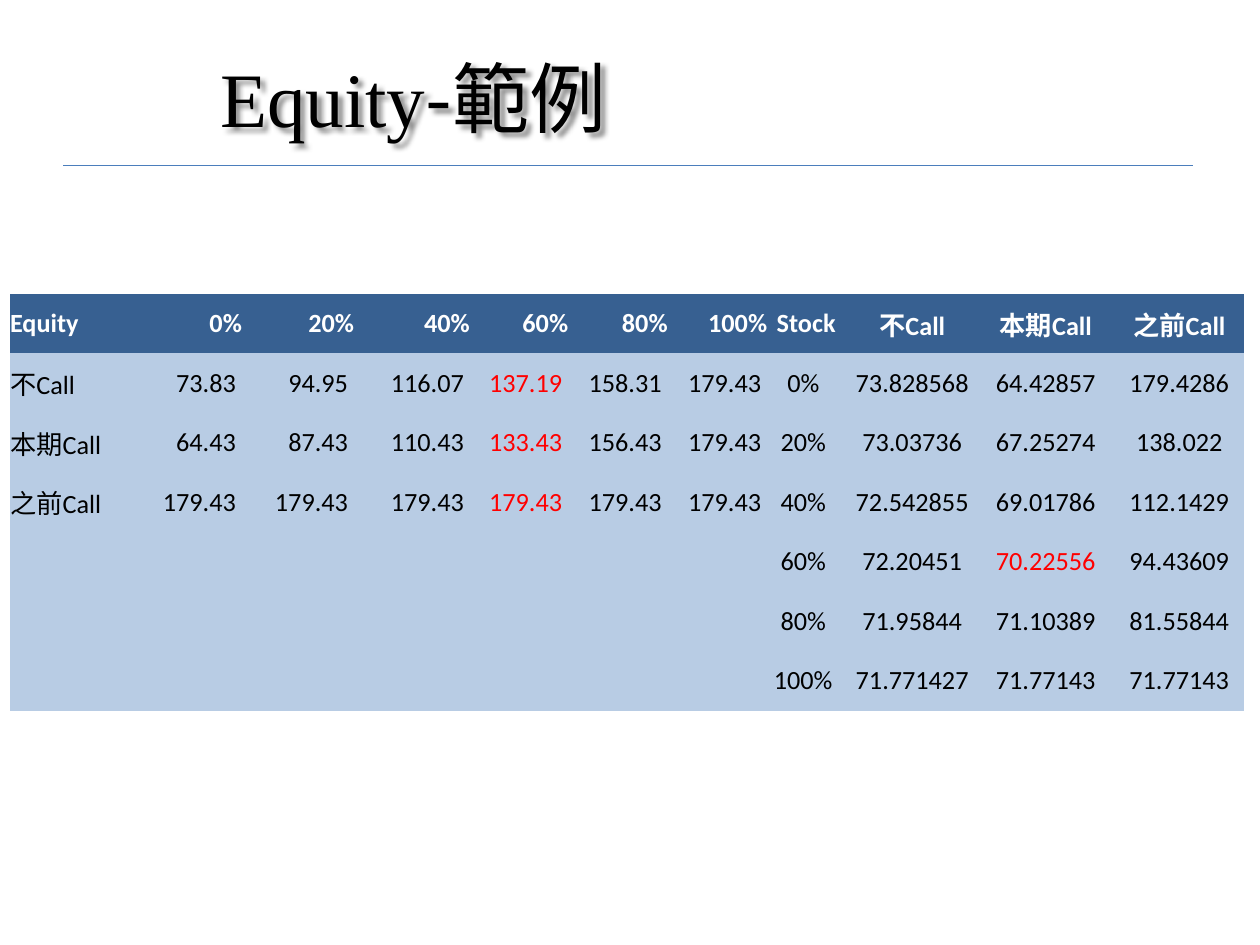
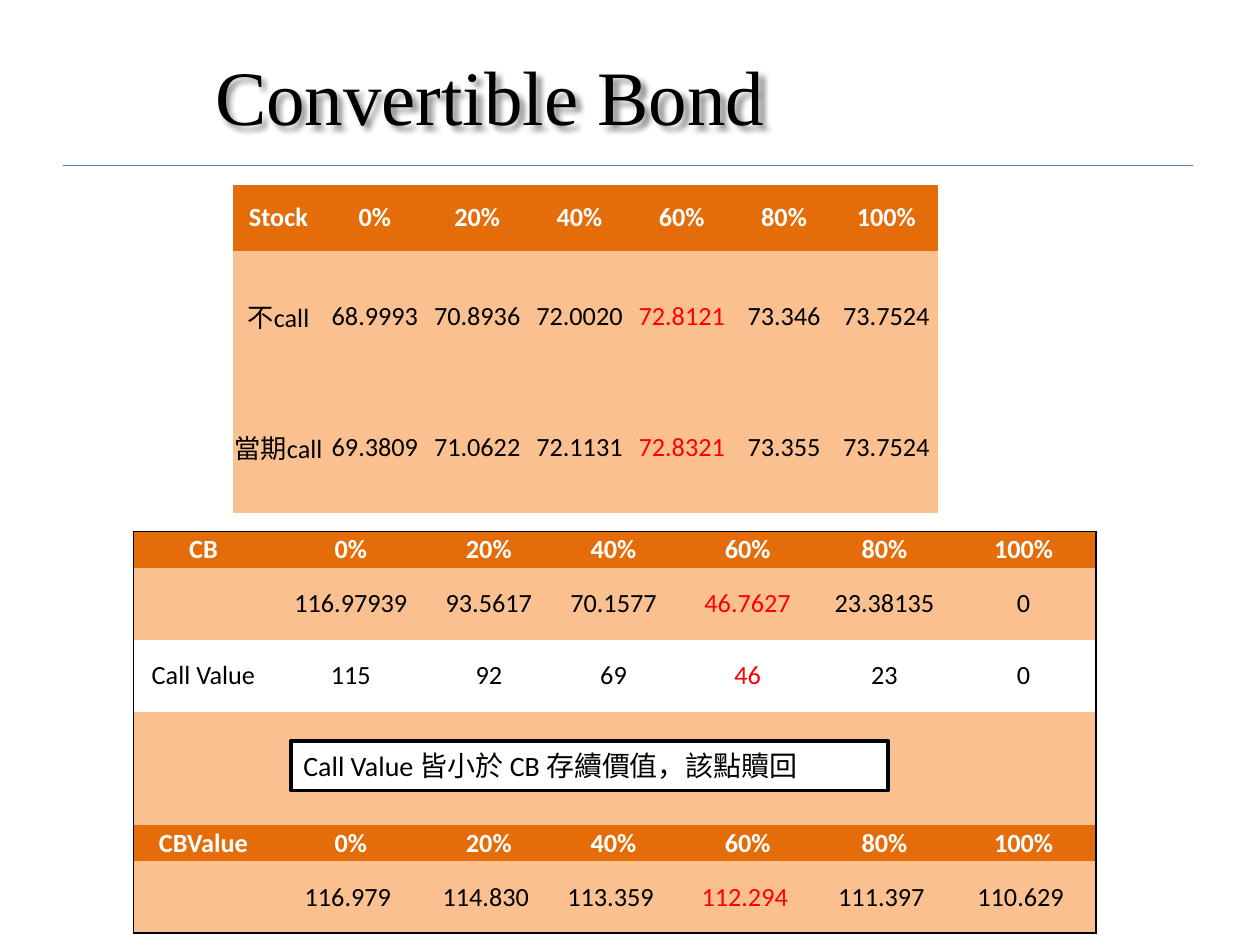
from lxml import etree
from pptx import Presentation
from pptx.dml.color import RGBColor
from pptx.enum.shapes import MSO_CONNECTOR, MSO_SHAPE
from pptx.enum.text import MSO_ANCHOR, PP_ALIGN
from pptx.oxml.ns import qn
from pptx.util import Inches, Pt

LEFT, MID, RIGHT = PP_ALIGN.LEFT, PP_ALIGN.CENTER, PP_ALIGN.RIGHT
CENTER = MSO_ANCHOR.MIDDLE
LINE, RECT = MSO_CONNECTOR.STRAIGHT, MSO_SHAPE.RECTANGLE

HUES = {"ink": "000000", "white": "FFFFFF", "red": "FF0000", "rule": "4B7EBC",
        "navy": "376091", "sky": "B8CCE4", "rust": "E46D0A", "peach": "FAC090"}
RGB = {name: RGBColor.from_string(code) for name, code in HUES.items()}
SERIF, SANS, HAN = "Times New Roman", "Calibri", "Noto Sans CJK SC"
PLAIN = "{2D5ABB26-0587-4C30-8999-92F81FD0307C}"

deck = Presentation()
deck.slide_width, deck.slide_height = Inches(10), Inches(7.5)
# The grid: 100 columns by 100 rows
COL, ROW = deck.slide_width / 100, deck.slide_height / 100


def write(par, text, size, face=SANS, hue="ink", bold=False):
    run = par.add_run()
    run.text = text
    run.font.size, run.font.name, run.font.bold = Pt(size), face, bold
    run.font.color.rgb = RGB[hue]
    east = etree.SubElement(run.font._element, qn("a:ea"))
    east.set("typeface", HAN)


def draw(page, x, y, wide, high, lines, fills, heads=(0,), reds=(),
         first=MID, rest=MID, span=None, frame=False):
    """Draw a table; each line is one row with its cells split by a bar."""
    last, foot = len(wide) - 1, len(high) - 1
    table = page.shapes.add_table(len(high), len(wide), int(x * COL), int(y * ROW),
                                  int(sum(wide) * COL), int(sum(high) * ROW)).table
    table.first_row = table.horz_banding = False
    table._tbl.tblPr.find(qn("a:tableStyleId")).text = PLAIN
    for c, size in enumerate(wide):
        table.columns[c].width = int(size * COL)
    for r, size in enumerate(high):
        table.rows[r].height = int(size * ROW)
    if span:
        table.cell(*span[0]).merge(table.cell(*span[1]))

    for r, line in enumerate(lines):
        words = line.split("|") if line else [""] * len(wide)
        for c, word in enumerate(words):
            cell = table.cell(r, c)
            cell.margin_left = cell.margin_right = 0
            cell.margin_top = cell.margin_bottom = 0
            cell.vertical_anchor = CENTER
            # Outer frame
            edges = {"lnL": c == 0, "lnR": c == last or cell.is_merge_origin,
                     "lnT": r == 0, "lnB": r == foot}
            for edge, shown in edges.items():
                if frame and shown:
                    side = etree.SubElement(cell._tc.get_or_add_tcPr(),
                                            qn("a:" + edge), w=str(Pt(1)))
                    paint = etree.SubElement(side, qn("a:solidFill"))
                    etree.SubElement(paint, qn("a:srgbClr"), val=HUES["ink"])
            # Fill and text
            head = r in heads
            fill = fills[0] if head else fills[1]
            if line.startswith("Call Value"):
                cell.fill.background()
            else:
                cell.fill.solid()
                cell.fill.fore_color.rgb = RGB[fill]
            par = cell.text_frame.paragraphs[0]
            par.alignment = rest if c else first
            if word:
                hue = "white" if head else "red" if (r, c) in reds else "ink"
                write(par, word, 15, hue=hue, bold=head)


# Titles and rules on both slides
titles = [
    ((16.5, 4, 72.1, 12.4), LEFT, [("Equity", SERIF), ("-範例", HAN)]),
    ((15.4, 4.4, 47, 11.3), MID, [("Convertible Bond", SERIF)]),
]
pages = []
for (x, y, w, h), align, parts in titles:
    page = deck.slides.add_slide(deck.slide_layouts[6])
    pages.append(page)
    box = page.shapes.add_textbox(int(x * COL), int(y * ROW), int(w * COL), int(h * ROW))
    box.text_frame.word_wrap = True
    box.text_frame.vertical_anchor = CENTER
    par = box.text_frame.paragraphs[0]
    par.alignment = align
    for text, face in parts:
        write(par, text, 44, face)
    glow = etree.SubElement(box._element.spPr, qn("a:effectLst"))
    shade = etree.SubElement(glow, qn("a:outerShdw"), blurRad=str(Pt(3)),
                             dist=str(Pt(3)), dir="2700000", algn="tl")
    tint = etree.SubElement(shade, qn("a:srgbClr"), val=HUES["ink"])
    etree.SubElement(tint, qn("a:alpha"), val="43000")

    rule = page.shapes.add_connector(LINE, int(5 * COL), int(17.5 * ROW),
                                     int(94.7 * COL), int(17.5 * ROW))
    rule.line.color.rgb, rule.line.width = RGB["rule"], Pt(0.75)
    etree.SubElement(rule._element.spPr, qn("a:effectLst"))

# Slide 1: stock and equity values
blue, seven = ("navy", "sky"), [6.3] * 7
draw(pages[0], 60.2, 31.1, [7.1, 10.2, 11, 10.2], seven, [
    " Stock|不Call|本期Call|之前Call",
    "0%|73.828568|64.42857|179.4286",
    "20%|73.03736|67.25274|138.022",
    "40%|72.542855|69.01786|112.1429",
    "60%|72.20451|70.22556|94.43609",
    "80%|71.95844|71.10389|81.55844",
    "100%|71.771427|71.77143|71.77143",
], blue, reds=[(4, 2)])

rates = "|0%|20%|40%|60%|80%|100%"
draw(pages[0], 0.8, 31.1, [10.9, 7.5, 8.9, 9.2, 7.8, 7.9, 7.9], seven, [
    "Equity" + rates,
    "不Call|73.83 |94.95 |116.07 |137.19 |158.31 |179.43 ",
    "本期Call|64.43 |87.43 |110.43 |133.43 |156.43 |179.43 ",
    "之前Call" + "|179.43 " * 6,
    "", "", "",
], blue, reds=[(1, 4), (2, 4), (3, 4)], first=LEFT, rest=RIGHT)

# Slide 2: stock table above the bond table
warm = ("rust", "peach")
draw(pages[1], 18.5, 19.6, [7.2] + [8.12] * 6, [6.93, 13.87, 13.87], [
    "Stock" + rates,
    "不call|68.9993|70.8936|72.0020|72.8121|73.346|73.7524",
    "當期call|69.3809|71.0622|72.1131|72.8321|73.355|73.7524",
], warm, reds=[(1, 4), (2, 4)])

low, tall = 3.81, 7.62
draw(pages[1], 10.6, 56.27, [11.1, 12.3, 9.6, 10.2, 11.1, 10.6, 11.5],
     [low, tall, tall, low, low, low, low, tall], [
    "CB" + rates,
    "|116.97939|93.5617|70.1577|46.7627|23.38135|0",
    "Call Value|115|92|69|46|23|0",
    "", "", "",
    "CBValue" + rates,
    "|116.979 |114.830 |113.359 |112.294 |111.397 |110.629 ",
], warm, heads=(0, 6), reds=[(1, 4), (2, 4), (7, 4)],
     span=[(3, 1), (3, 6)], frame=True)

# Remark over the bond table
note = pages[1].shapes.add_shape(RECT, int(23.1 * COL), int(78.4 * ROW),
                                 int(47.4 * COL), int(5.25 * ROW))
note.shadow.inherit = False
note.fill.solid()
note.fill.fore_color.rgb = RGB["white"]
note.line.color.rgb, note.line.width = RGB["ink"], Pt(2)
note.text_frame.word_wrap = True
par = note.text_frame.paragraphs[0]
par.alignment = LEFT
write(par, "Call Value 皆小於 CB 存續價值，該點贖回", 16)

deck.save("out.pptx")
